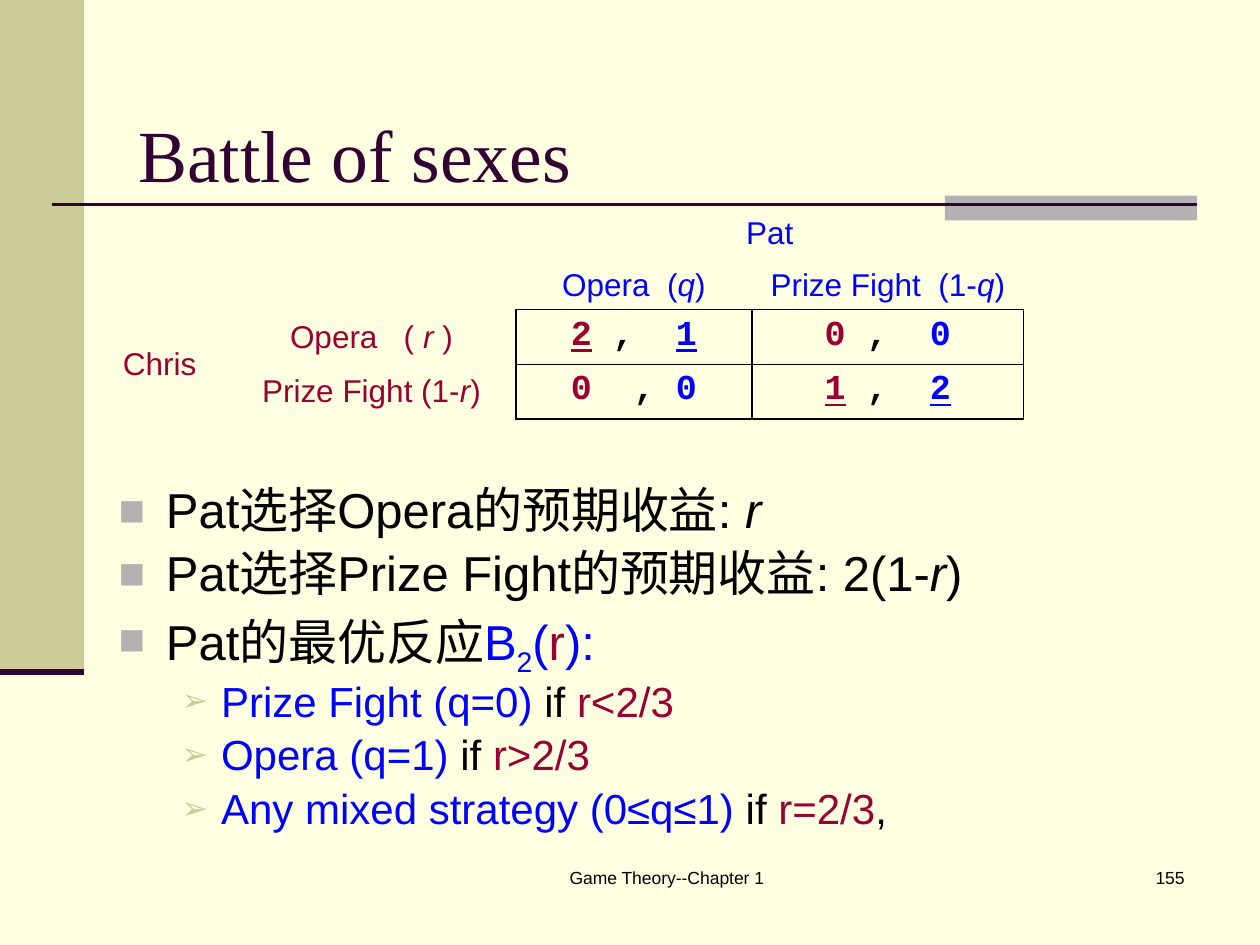
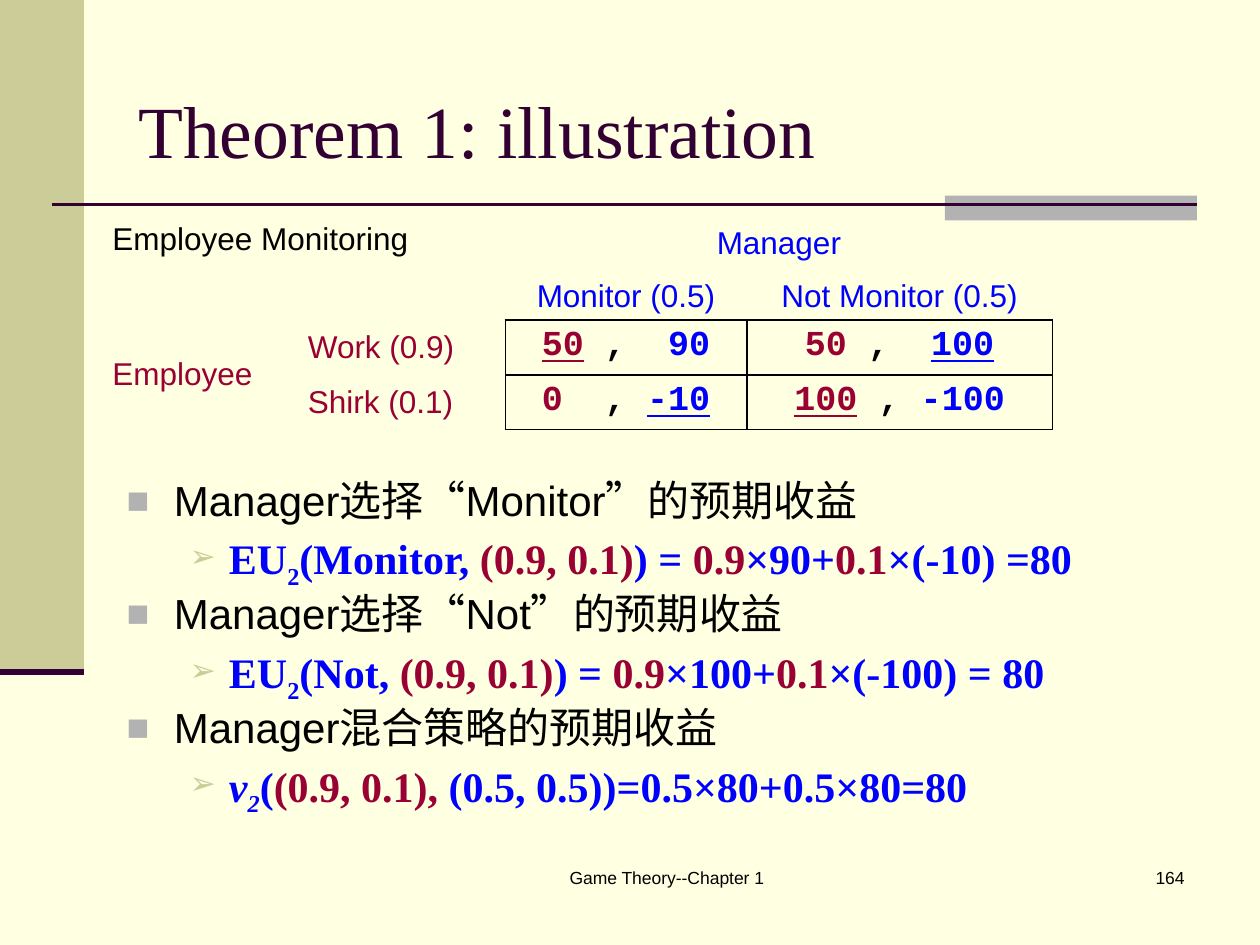
import pptx
import pptx.util
import pptx.dml.color
import pptx.enum.shapes
import pptx.enum.text
import pptx.oxml
import pptx.oxml.ns
import lxml.etree

PX = 9525  # EMU in one px, 96 px to the inch
CREAM, KHAKI, GREY, PLUM = "FFFFE1", "CCCC99", "B2B2B2", "330033"
BLACK, BLUE, RED = "000000", "0000FF", "990033"
SERIF, MONO = "Times New Roman", "Courier New"
NO_STYLE = "{2D5ABB26-0587-4C30-8999-92F81FD0307C}"
NAMESPACE = 'xmlns:a="http://schemas.openxmlformats.org/drawingml/2006/main"'
ALIGN = pptx.enum.text.PP_ALIGN
ANCHOR = pptx.enum.text.MSO_ANCHOR


def color(hex_code):
    return pptx.dml.color.RGBColor.from_string(hex_code)


def write(para, text, size=18, ink=BLACK, font="Arial", bold=False,
          italic=False, underline=False, baseline=0):
    span = para.add_run()
    span.text = text
    span.font.size = pptx.util.Pt(size)
    span.font.name = font
    span.font.color.rgb = color(ink)
    span.font.bold, span.font.italic, span.font.underline = bold, italic, underline
    if baseline:
        span.font._element.set("baseline", str(baseline * 1000))


# Run formats used inside the slide texts
plain, italic = {}, {"italic": True}
black, blue, red = {"ink": BLACK}, {"ink": BLUE}, {"ink": RED}
quote = {"font": SERIF}
blue_sub = {"ink": BLUE, "baseline": -25}

# Bullet character, colour, size in percent, left margin and hanging indent per level
bullets = [("■", GREY, 90, 36, 36), ("➢", KHAKI, 75, 78, 30)]

# Each payoff is row player's value, separator, column player's value,
# then whether each value is a best response
slides = [
    {
        "title": "Battle of sexes", "title_box": (96, 85, 816, 63), "number": "155",
        "table_at": (84, 156), "columns": (89, 220, 180, 207),
        "row_label_align": ALIGN.CENTER,
        "labels": {
            (0, 2): [("Pat", blue)],
            (1, 2): [("Opera  (", blue), ("q", blue | italic), (")", blue)],
            (1, 3): [("Prize Fight  (1-", blue), ("q", blue | italic), (")", blue)],
            (2, 0): [("Chris", red)],
            (2, 1): [("Opera   ( ", red), ("r", red | italic), (" )", red)],
            (3, 1): [("Prize Fight (1-", red), ("r", red | italic), (")", red)],
        },
        "payoffs": [
            [("2", " ,  ", "1", True, True), ("0", " ,  ", "0", False, False)],
            [("0", "  , ", "0", False, False), ("1", " ,  ", "2", True, True)],
        ],
        "body_box": (81, 366, 816, 277),
        "level_formats": [{"size": 28}, {"size": 24}],
        "body": [
            (0, [("Pat选择Opera的预期收益: ", plain), ("r", italic)]),
            (0, [("Pat选择Prize Fight的预期收益: 2(1-", plain), ("r", italic), (")", plain)]),
            (0, [("Pat的最优反应", plain), ("B", blue), ("2", blue_sub), ("(", blue),
                 ("r", red), ("):", blue)]),
            (1, [("Prize Fight (q=0) ", blue), ("if ", black), ("r<2/3", red)]),
            (1, [("Opera (q=1) ", blue), ("if ", black), ("r>2/3", red)]),
            (1, [("Any mixed strategy (0≤q≤1) ", blue), ("if ", black), ("r=2/3", red),
                 (",", black)]),
        ],
    },
    {
        "title": "Theorem 1: illustration", "title_box": (96, 47, 816, 102), "number": "164",
        "table_at": (76, 164), "columns": (149, 160, 184, 233),
        "row_label_align": ALIGN.LEFT,
        "labels": {
            (0, 0): [("Employee Monitoring", black)],
            (0, 2): [("Manager", blue)],
            (1, 2): [("Monitor (0.5)", blue)],
            (1, 3): [("Not Monitor (0.5)", blue)],
            (2, 0): [("Employee", red)],
            (2, 1): [("Work (0.9)", red)],
            (3, 1): [("Shirk (0.1)", red)],
        },
        "payoffs": [
            [("50", " ,  ", "90", True, False), ("50", " ,  ", "100", False, True)],
            [("0", "  , ", "-10", False, True), ("100", " , ", "-100", True, False)],
        ],
        "body_box": (87, 361, 816, 266),
        "level_formats": [{"size": 24}, {"size": 24, "font": SERIF, "bold": True}],
        "body": [
            (0, [("Manager选择", plain), ("“", quote), ("Monitor", plain), ("”", quote),
                 ("的预期收益", plain)]),
            (1, [("EU", blue), ("2", blue_sub), ("(Monitor, ", blue), ("(0.9, 0.1)", red),
                 (") = ", blue), ("0.9", red), ("×90+", blue), ("0.1", red),
                 ("×(-10) =80", blue)]),
            (0, [("Manager选择", plain), ("“", quote), ("Not", plain), ("”", quote),
                 ("的预期收益", plain)]),
            (1, [("EU", blue), ("2", blue_sub), ("(Not, ", blue), ("(0.9, 0.1)", red),
                 (") = ", blue), ("0.9", red), ("×100+", blue), ("0.1", red),
                 ("×(-100) = 80", blue)]),
            (0, [("Manager混合策略的预期收益", plain)]),
            (1, [("v", blue | italic), ("2", blue_sub | italic), ("(", blue),
                 ("(0.9, 0.1), ", red), ("(0.5, 0.5))=0.5×80+0.5×80=80", blue)]),
        ],
    },
]

deck = pptx.Presentation()
deck.slide_width, deck.slide_height = 960 * PX, 720 * PX

for content in slides:
    page = deck.slides.add_slide(deck.slide_layouts[6])
    page.background.fill.solid()
    page.background.fill.fore_color.rgb = color(CREAM)

    # Side band and grey tab
    for fill, bounds in [(KHAKI, (0, 0, 64, 512)), (GREY, (720, 149, 192, 19))]:
        band = page.shapes.add_shape(pptx.enum.shapes.MSO_SHAPE.RECTANGLE,
                                     *[n * PX for n in bounds])
        band.shadow.inherit = False
        band.fill.solid()
        band.fill.fore_color.rgb = color(fill)
        band.line.fill.background()

    # Rules under the title and under the side band
    for left, right, y, weight in [(40, 912, 156, 1.5), (0, 64, 512, 3.5)]:
        rule = page.shapes.add_connector(pptx.enum.shapes.MSO_CONNECTOR.STRAIGHT,
                                         left * PX, y * PX, right * PX, y * PX)
        rule.line.color.rgb = color(PLUM)
        rule.line.width = pptx.util.Pt(weight)
        lxml.etree.SubElement(rule._element.spPr, pptx.oxml.ns.qn("a:effectLst"))

    # Footer, page number and title
    for text, bounds, align, anchor, text_format in [
        ("Game Theory--Chapter 1", (352, 656, 312, 48), ALIGN.CENTER, ANCHOR.TOP, {"size": 10}),
        (content["number"], (712, 656, 200, 48), ALIGN.RIGHT, ANCHOR.TOP, {"size": 10}),
        (content["title"], content["title_box"], ALIGN.LEFT, ANCHOR.MIDDLE,
         {"size": 42, "font": SERIF, "ink": PLUM}),
    ]:
        box = page.shapes.add_textbox(*[n * PX for n in bounds])
        box.text_frame.word_wrap = True
        box.text_frame.vertical_anchor = anchor
        para = box.text_frame.paragraphs[0]
        para.alignment = align
        write(para, text, **text_format)

    # Bulleted body
    box = page.shapes.add_textbox(*[n * PX for n in content["body_box"]])
    box.text_frame.word_wrap = True
    for index, (level, runs) in enumerate(content["body"]):
        para = box.text_frame.paragraphs[0] if index == 0 else box.text_frame.add_paragraph()
        para.level = level
        level_format = content["level_formats"][level]
        mark, mark_color, percent, margin, hanging = bullets[level]
        properties = para._p.get_or_add_pPr()
        properties.set("marL", str(margin * PX))
        properties.set("indent", str(-hanging * PX))
        for xml in [f'<a:buClr {NAMESPACE}><a:srgbClr val="{mark_color}"/></a:buClr>',
                    f'<a:buSzPct {NAMESPACE} val="{percent * 1000}"/>',
                    f'<a:buFont {NAMESPACE} typeface="Arial"/>',
                    f'<a:buChar {NAMESPACE} char="{mark}"/>']:
            properties.append(pptx.oxml.parse_xml(xml))
        para.line_spacing = 0.9
        if index:
            para.space_before = pptx.util.Pt(level_format["size"] * 0.2)
        for text, run_format in runs:
            write(para, text, **(level_format | run_format))

    # Payoff table
    left, top = content["table_at"]
    frame = page.shapes.add_table(4, 4, left * PX, top * PX,
                                  sum(content["columns"]) * PX, 160 * PX)
    table = frame.table
    table.first_row = table.horz_banding = False
    table._tbl.tblPr.find(pptx.oxml.ns.qn("a:tableStyleId")).text = NO_STYLE
    for column, width in zip(table.columns, content["columns"]):
        column.width = width * PX
    for row in table.rows:
        row.height = 40 * PX
    for start, end in [((0, 0), (0, 1)), ((0, 2), (0, 3)), ((2, 0), (3, 0))]:
        table.cell(*start).merge(table.cell(*end))

    # Player and strategy labels
    for (row, column), runs in content["labels"].items():
        cell = table.cell(row, column)
        para = cell.text_frame.paragraphs[0]
        if column >= 2:
            cell.vertical_anchor, para.alignment = ANCHOR.BOTTOM, ALIGN.CENTER
        elif row >= 2:
            cell.vertical_anchor = ANCHOR.MIDDLE
            para.alignment = content["row_label_align"] if column == 1 else ALIGN.LEFT
        for text, run_format in runs:
            write(para, text, **run_format)

    # Payoffs, best responses underlined, in bordered cells
    for row, payoff_row in enumerate(content["payoffs"], 2):
        for column, payoff in enumerate(payoff_row, 2):
            row_value, separator, column_value, row_best, column_best = payoff
            cell = table.cell(row, column)
            para = cell.text_frame.paragraphs[0]
            para.alignment = ALIGN.CENTER
            for text, ink, best in [(row_value, RED, row_best), (separator, BLACK, False),
                                    (column_value, BLUE, column_best)]:
                write(para, text, size=20, font=MONO, bold=True, ink=ink, underline=best)
            for side in "LRTB":
                cell._tc.get_or_add_tcPr().append(pptx.oxml.parse_xml(
                    f'<a:ln{side} {NAMESPACE} w="12700"><a:solidFill>'
                    f'<a:srgbClr val="{BLACK}"/></a:solidFill></a:ln{side}>'))
    for cell in table.iter_cells():
        cell.fill.background()

deck.save("out.pptx")
